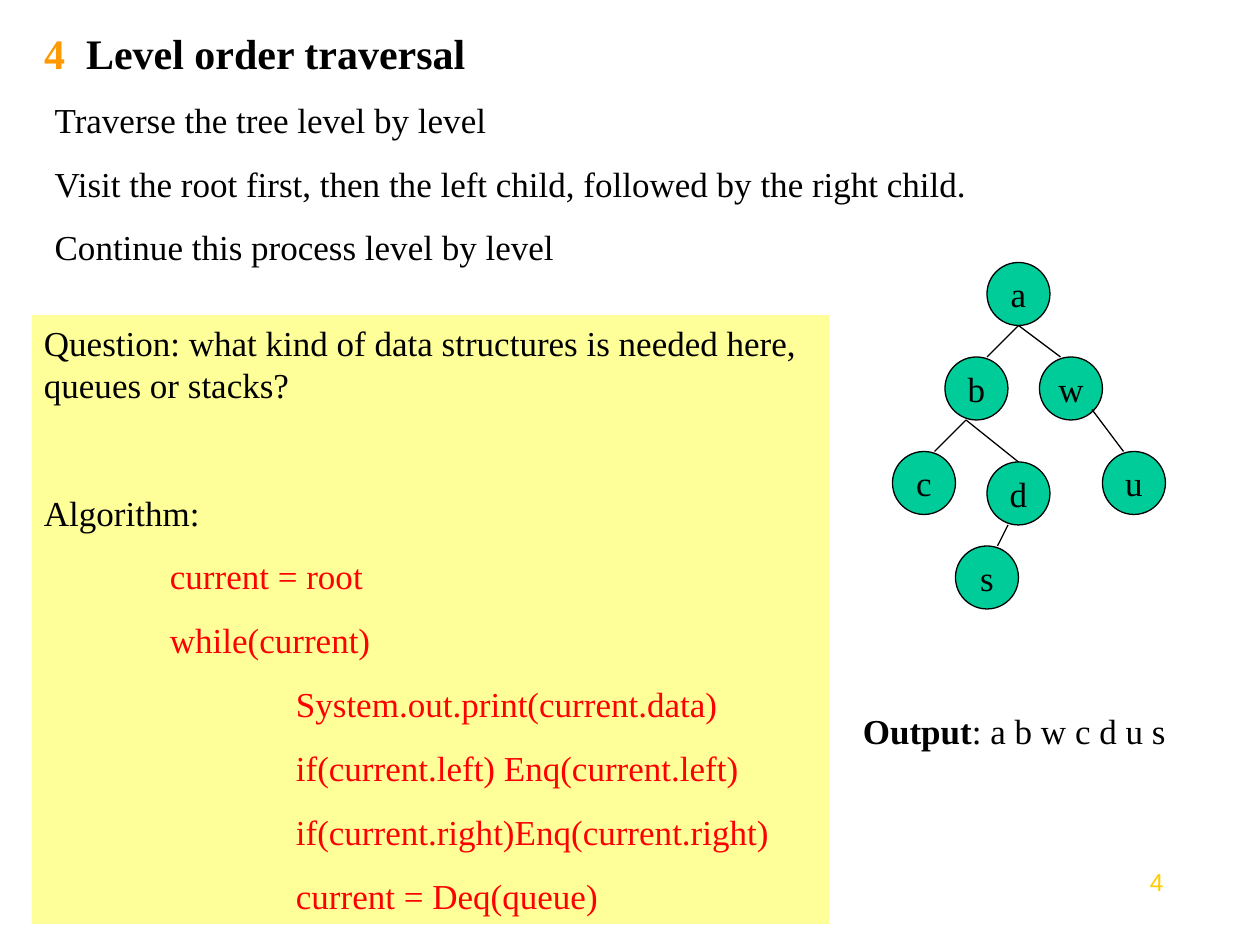
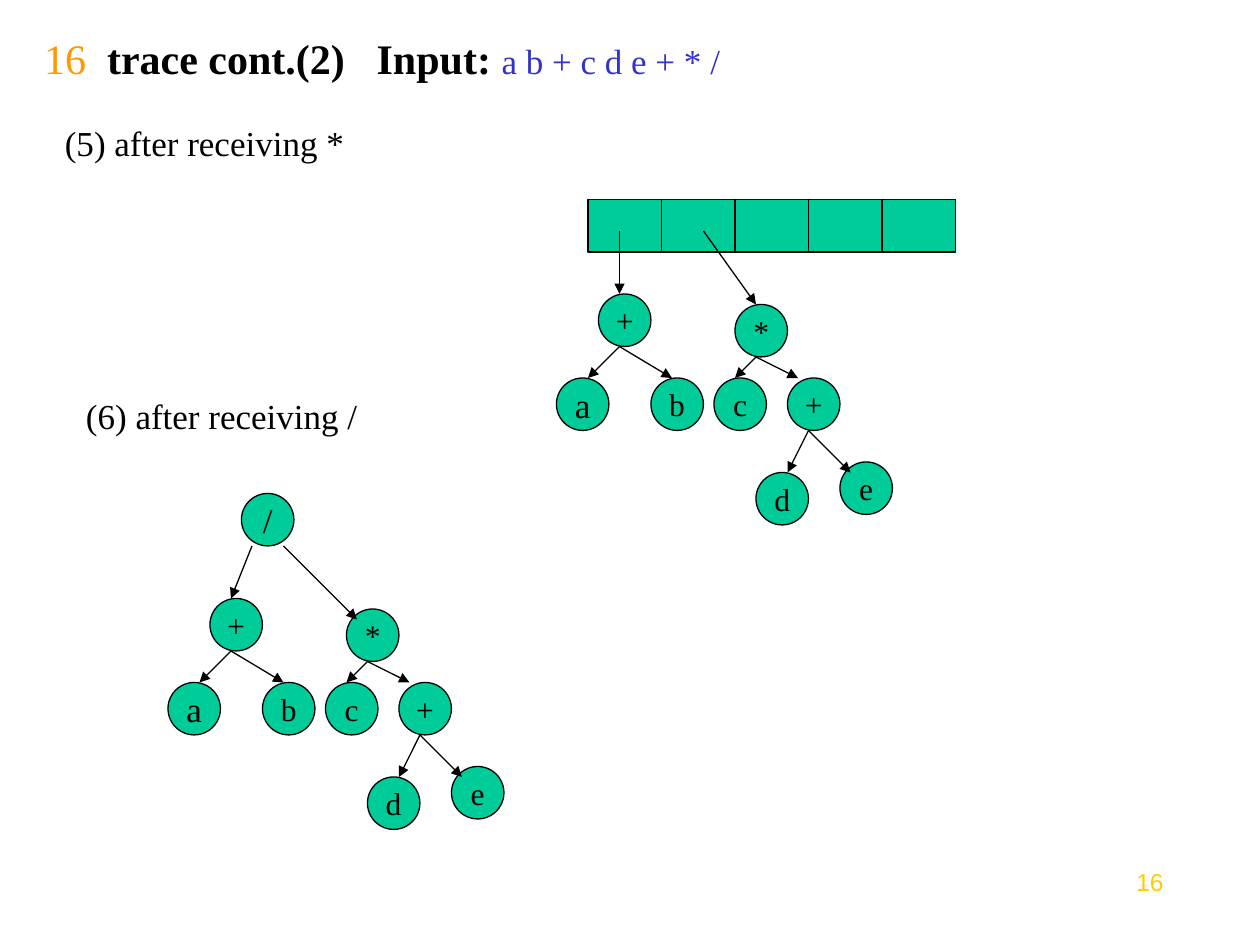
"""Build two slides on level order traversal and expression tree tracing."""
import pptx
import pptx.dml.color
import pptx.enum.shapes
import pptx.enum.text
import pptx.oxml
import pptx.oxml.ns
import pptx.util

Pt = pptx.util.Pt
ALIGN = pptx.enum.text.PP_ALIGN
ANCHOR = pptx.enum.text.MSO_ANCHOR
SHAPE = pptx.enum.shapes.MSO_SHAPE

SERIF, SANS = "Times New Roman", "Arial"
BLACK, ORANGE, GOLD, RED, BLUE = "000000", "FF9900", "FFCC00", "FF0000", "3333CC"
GREEN, YELLOW = "00CC99", "FFFF99"
LINE_PITCH, PARAGRAPH_GAP, INDENT_STEP = 24, 12.5, 72

LEVEL_NODES = [("a", 564, 150), ("b", 540, 204), ("w", 594, 204), ("c", 510, 258),
               ("d", 564, 264), ("u", 630, 258), ("s", 546, 312)]
LEVEL_EDGES = [(582, 186, 564, 204), (582, 186, 606, 204), (552, 240, 534, 258),
               (552, 240, 582, 264), (624, 234, 642, 258), (576, 300, 570, 312)]
OPERAND_NODES = [("a", 318, 216, 20), ("b", 372, 216, 18), ("+", 342, 168, 18),
                 ("c", 408, 216, 18), ("d", 432, 270, 18), ("e", 480, 264, 18),
                 ("+", 450, 216, 18), ("*", 420, 174, 18)]
OPERAND_EDGES = [(354, 198, 336, 216), (354, 198, 384, 216), (432, 204, 420, 216),
                 (432, 204, 456, 216), (462, 246, 450, 270), (462, 246, 486, 270)]


def colour(hex_value):
    """Turn a hex string into a colour."""
    return pptx.dml.color.RGBColor.from_string(hex_value)


def add_xml(parent, tag, **attributes):
    """Append a drawing element with its attributes."""
    child = pptx.oxml.parse_xml(f"<a:{tag} {pptx.oxml.ns.nsdecls('a')}/>")
    for key, value in attributes.items():
        child.set(key, str(value))
    parent.append(child)
    return child


def place(shape, left, top, width, height):
    """Move and size a shape in points."""
    shape.left, shape.top = Pt(left), Pt(top)
    shape.width, shape.height = Pt(width), Pt(height)


def add_run(paragraph, text, size=20, ink=BLACK, bold=False, font=SERIF):
    """Add one formatted run."""
    run = paragraph.add_run()
    run.text = text
    run.font.size, run.font.bold, run.font.name = Pt(size), bold, font
    run.font.color.rgb = colour(ink)


def write_lines(frame, lines):
    """Write lines given as (runs, indent level, space before)."""
    frame.word_wrap = True
    frame.auto_size = pptx.enum.text.MSO_AUTO_SIZE.NONE
    frame.vertical_anchor = ANCHOR.TOP
    for index, (runs, level, gap) in enumerate(lines):
        paragraph = frame.paragraphs[0] if index == 0 else frame.add_paragraph()
        paragraph.alignment = ALIGN.LEFT
        paragraph.line_spacing, paragraph.space_before = Pt(LINE_PITCH), Pt(gap)
        properties = paragraph._p.get_or_add_pPr()
        properties.set("marL", str(Pt(INDENT_STEP * level)))
        properties.set("indent", "0")
        add_xml(properties, "buNone")
        for run in runs:
            add_run(paragraph, *run)


def add_title(slide, left, top, height, runs, stops):
    """Fill the title placeholder, spacing its parts with tab stops."""
    title = slide.shapes.title
    place(title, left, top, 612, height)
    frame = title.text_frame
    frame.auto_size = pptx.enum.text.MSO_AUTO_SIZE.NONE
    frame.vertical_anchor = ANCHOR.MIDDLE
    paragraph = frame.paragraphs[0]
    paragraph.alignment = ALIGN.LEFT
    tabs = add_xml(paragraph._p.get_or_add_pPr(), "tabLst")
    for stop in stops:
        add_xml(tabs, "tab", pos=Pt(stop), algn="l")
    for run in runs:
        add_run(paragraph, *run)


def add_page_number(slide, number):
    """Put the page number at the lower right."""
    box = slide.shapes.add_textbox(Pt(624), Pt(492), Pt(48), Pt(37))
    box.text_frame.word_wrap = True
    paragraph = box.text_frame.paragraphs[0]
    paragraph.alignment = ALIGN.RIGHT
    add_run(paragraph, number, 14, GOLD, font=SANS)


def add_note(slide, left, top, width, runs):
    """Add a one-line text box."""
    box = slide.shapes.add_textbox(Pt(left), Pt(top), Pt(width), Pt(32))
    write_lines(box.text_frame, [(runs, 0, PARAGRAPH_GAP)])


def add_block(slide, kind, left, top, width, height, fill, outlined=True):
    """Add a flat filled shape, outlined or not."""
    block = slide.shapes.add_shape(kind, Pt(left), Pt(top), Pt(width), Pt(height))
    block.shadow.inherit = False
    block.fill.solid()
    block.fill.fore_color.rgb = colour(fill)
    if outlined:
        block.line.color.rgb = colour(BLACK)
        block.line.width = Pt(0.75)
    else:
        block.line.fill.background()
    return block


def add_node(slide, label, left, top, diameter, size=20):
    """Add a labelled tree node."""
    node = add_block(slide, SHAPE.OVAL, left, top, diameter, diameter, GREEN)
    frame = node.text_frame
    frame.word_wrap = False
    frame.vertical_anchor = ANCHOR.MIDDLE
    frame.paragraphs[0].alignment = ALIGN.CENTER
    add_run(frame.paragraphs[0], label, size)


def add_edge(slide, x1, y1, x2, y2, arrow=True):
    """Join two points with a line or an arrow."""
    edge = slide.shapes.add_connector(
        pptx.enum.shapes.MSO_CONNECTOR.STRAIGHT, Pt(x1), Pt(y1), Pt(x2), Pt(y2))
    edge.line.color.rgb = colour(BLACK)
    edge.line.width = Pt(0.75)
    if arrow:
        add_xml(edge.line._get_or_add_ln(), "tailEnd", type="triangle")
    add_xml(edge._element.spPr, "effectLst")


def add_operand_trees(slide, dx=0, dy=0):
    """Draw the trees for a + b and c * (d + e), shifted."""
    for label, left, top, size in OPERAND_NODES:
        add_node(slide, label, left + dx, top + dy, 30, size)
    for x1, y1, x2, y2 in OPERAND_EDGES:
        add_edge(slide, x1 + dx, y1 + dy, x2 + dx, y2 + dy)


def build_traversal(deck):
    """Build the level order traversal slide."""
    slide = deck.slides.add_slide(deck.slide_layouts[1])
    add_page_number(slide, "4")
    add_title(slide, 18, 12, 36,
              [("4", 24, ORANGE, True), ("\tLevel order traversal", 24, BLACK, True)], [24])
    steps = slide.placeholders[1]
    place(steps, 24, 52.5, 540, 104.5)
    write_lines(steps.text_frame, [([(step,)], 0, PARAGRAPH_GAP) for step in (
        "Traverse the tree level by level",
        "Visit the root first, then the left child, followed by the right child.",
        "Continue this process level by level")])

    for label, left, top in LEVEL_NODES:
        add_node(slide, label, left, top, 36)
    for edge in LEVEL_EDGES:
        add_edge(slide, *edge, arrow=False)
    add_note(slide, 486, 402, 210, [("Output", 20, BLACK, True), (": a b w c d u s",)])

    algorithm = add_block(slide, SHAPE.RECTANGLE, 18, 180, 456, 348, YELLOW, outlined=False)
    code = [("current = root", 1), ("while(current)", 1),
            ("System.out.print(current.data)", 2),
            ("if(current.left) Enq(current.left)", 2),
            ("if(current.right)Enq(current.right)", 2),
            ("current = Deq(queue)", 2)]
    question = "Question: what kind of data structures is needed here, queues or stacks?"
    write_lines(algorithm.text_frame, [
        ([(question,)], 0, PARAGRAPH_GAP),
        ([("Algorithm:",)], 0, 2 * PARAGRAPH_GAP + LINE_PITCH),
        *[([(line, 20, RED)], level, PARAGRAPH_GAP) for line, level in code]])


def build_trace(deck):
    """Build the expression tree trace slide."""
    slide = deck.slides.add_slide(deck.slide_layouts[5])
    add_page_number(slide, "16")
    add_title(slide, 18, 18, 30,
              [("16", 24, ORANGE), ("\ttrace cont.(2)", 24, BLACK, True),
               ("\tInput: ", 24, BLACK, True), ("a b + c d e + * /", 20, BLUE)], [36, 190])
    add_note(slide, 30, 66, 222, [("(5) after receiving *",)])
    for slot in range(5):
        add_block(slide, SHAPE.RECTANGLE, 336 + 42 * slot, 114, 42, 30, GREEN)
    add_operand_trees(slide)
    add_edge(slide, 354, 132, 354, 168)
    add_edge(slide, 402, 132, 432, 174)

    add_note(slide, 42, 222, 234, [("(6) after receiving /",)])
    add_operand_trees(slide, -222, 174)
    add_node(slide, "/", 138, 282, 30)
    add_edge(slide, 144, 312, 132, 342)
    add_edge(slide, 162, 312, 204, 354)


def main():
    """Build and save the deck."""
    deck = pptx.Presentation()
    deck.slide_width, deck.slide_height = Pt(720), Pt(540)
    build_traversal(deck)
    build_trace(deck)
    deck.save("out.pptx")


if __name__ == "__main__":
    main()
